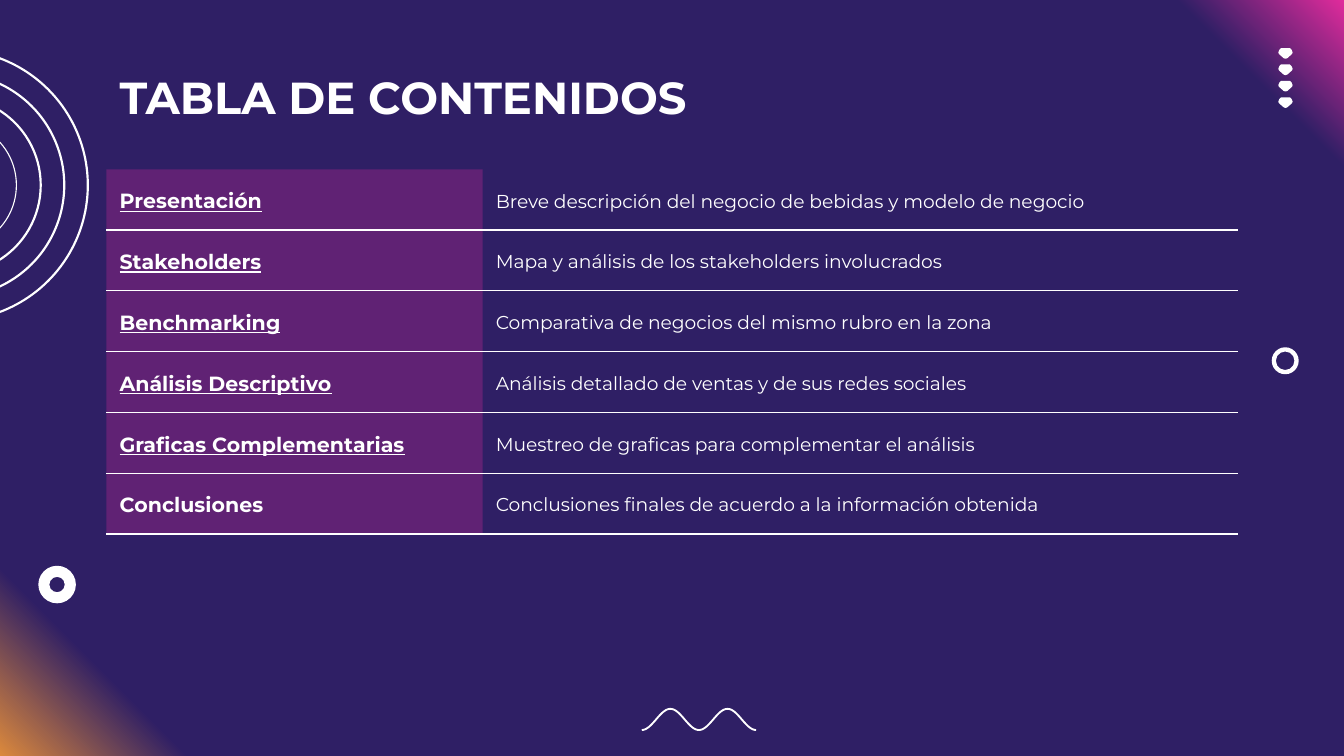
from copy import deepcopy
from dataclasses import dataclass
from math import cos, pi

from lxml import etree
from pptx import Presentation
from pptx import util as u
from pptx.dml.color import RGBColor
from pptx.enum import shapes, text
from pptx.oxml import ns


@dataclass(frozen=True)
class Theme:
    font: str = "Montserrat"
    white: RGBColor = RGBColor(0xFF, 0xFF, 0xFF)
    pink: RGBColor = RGBColor(0xE1, 0x2B, 0x9C)
    purple: RGBColor = RGBColor(0x2F, 0x1F, 0x65)
    orange: RGBColor = RGBColor(0xDC, 0x89, 0x3C)
    title_size: int = 24
    topic_size: int = 11
    detail_size: int = 10
    rule_width: float = 0.75
    wave_width: float = 1
    topic_opacity: int = 28


THEME = Theme()
PLAIN_TABLE_STYLE = "{2D5ABB26-0587-4C30-8999-92F81FD0307C}"

CONTENTS = [
    ("Presentación", "Breve descripción del negocio de bebidas y modelo de negocio", True),
    ("Stakeholders", "Mapa y análisis de los stakeholders involucrados", True),
    ("Benchmarking", "Comparativa de negocios del mismo rubro en la zona", True),
    ("Análisis Descriptivo", "Análisis detallado de ventas y de sus redes sociales", True),
    ("Graficas Complementarias", "Muestreo de graficas para complementar el análisis", True),
    ("Conclusiones", "Conclusiones finales de acuerdo a la información obtenida", False),
]


def paint_background(page):
    fill = page.background.fill
    fill.gradient()
    fill.gradient_angle = 225
    stop_list = page.element.find(".//" + ns.qn("a:gsLst"))
    for _ in range(2):
        stop_list.append(deepcopy(stop_list[0]))
    colours = [THEME.pink, THEME.purple, THEME.purple, THEME.orange]
    for stop, colour, position in zip(fill.gradient_stops, colours, (0, 0.08, 0.91, 1)):
        stop.color.rgb = colour
        stop.position = position


def fill_white(shape):
    shape.shadow.inherit = False
    shape.fill.solid()
    shape.fill.fore_color.rgb = THEME.white
    shape.line.fill.background()


def add_ring(page, centre_x, centre_y, diameter, thickness):
    ring = page.shapes.add_shape(
        shapes.MSO_SHAPE.DONUT,
        u.Cm(centre_x - diameter / 2), u.Cm(centre_y - diameter / 2),
        u.Cm(diameter), u.Cm(diameter))
    ring.adjustments[0] = thickness / diameter
    fill_white(ring)


def add_outline(page, points, close):
    start, *rest = [(u.Cm(x), u.Cm(y)) for x, y in points]
    builder = page.shapes.build_freeform(*start)
    builder.add_line_segments(rest, close=close)
    return builder.convert_to_shape()


def add_marker(page, left, top):
    width = 0.27
    half = [(0.02, 0.03), (0, 0.08), (0.01, 0.11), (0.1, 0.19), (0.13, 0.2)]
    half.insert(0, (0.05, 0))
    mirrored = [(width - x, y) for x, y in reversed(half)]
    points = [(left + x, top + y) for x, y in half + mirrored]
    fill_white(add_outline(page, points, close=True))


def add_wave(page, left, middle, width, height, periods=2, steps=80):
    points = [
        (left + width * i / steps,
         middle + height / 2 * cos(2 * pi * periods * i / steps))
        for i in range(steps + 1)]
    wave = add_outline(page, points, close=False)
    wave.shadow.inherit = False
    wave.fill.background()
    wave.line.color.rgb = THEME.white
    wave.line.width = u.Pt(THEME.wave_width)


def add_span(para, words, size, bold=False, underline=False):
    span = para.add_run()
    span.text = words
    span.font.name = THEME.font
    span.font.size = u.Pt(size)
    span.font.bold = bold
    span.font.underline = underline
    span.font.color.rgb = THEME.white


def add_title(page, words):
    box = page.shapes.add_textbox(u.Cm(2.01), u.Cm(1.07), u.Cm(21.41), u.Cm(1.42))
    frame = box.text_frame
    frame.word_wrap = True
    frame.margin_left = frame.margin_right = u.Cm(0.25)
    frame.margin_top = frame.margin_bottom = u.Cm(0.25)
    add_span(frame.paragraphs[0], words, THEME.title_size, bold=True)


def add_bottom_rule(cell):
    rule = etree.Element(ns.qn("a:lnB"), w=str(u.Pt(THEME.rule_width)))
    fill = etree.SubElement(rule, ns.qn("a:solidFill"))
    etree.SubElement(fill, ns.qn("a:srgbClr"), val=str(THEME.white))
    cell._tc.get_or_add_tcPr().insert(0, rule)


def tint_topic(cell):
    cell.fill.solid()
    cell.fill.fore_color.rgb = THEME.pink
    colour = cell._tc.tcPr.find(".//" + ns.qn("a:srgbClr"))
    etree.SubElement(colour, ns.qn("a:alpha"), val=str(THEME.topic_opacity * 1000))


def write_cell(cell, words, size, **style):
    cell.vertical_anchor = text.MSO_ANCHOR.MIDDLE
    cell.margin_left = cell.margin_right = u.Cm(0.25)
    cell.margin_top = cell.margin_bottom = 0
    para = cell.text_frame.paragraphs[0]
    para.line_spacing = 1.15
    add_span(para, words, size, **style)
    add_bottom_rule(cell)


def add_contents_table(page):
    row_height = u.Cm(1.15)
    frame = page.shapes.add_table(
        len(CONTENTS), 2, u.Cm(2.01), u.Cm(3.2), u.Cm(21.39), row_height * len(CONTENTS))
    table = frame.table
    table.first_row = table.horz_banding = False
    frame.element.find(".//" + ns.qn("a:tableStyleId")).text = PLAIN_TABLE_STYLE
    for column, width in zip(table.columns, (7.11, 14.28)):
        column.width = u.Cm(width)
    for row, (topic, detail, linked) in zip(table.rows, CONTENTS):
        row.height = row_height
        topic_cell, detail_cell = row.cells
        tint_topic(topic_cell)
        detail_cell.fill.background()
        write_cell(topic_cell, topic, THEME.topic_size, bold=True, underline=linked)
        write_cell(detail_cell, detail, THEME.detail_size)


def main():
    deck = Presentation()
    deck.slide_width, deck.slide_height = u.Cm(25.4), u.Cm(14.29)
    page = deck.slides.add_slide(deck.slide_layouts[6])
    paint_background(page)
    add_ring(page, 1.08, 11.05, 0.71, 0.21)
    for i in range(4):
        add_marker(page, 24.16, 0.91 + 0.31 * i)
    add_ring(page, 24.29, 6.82, 0.51, 0.08)
    for diameter, thickness in ((5.16, 0.04), (4.27, 0.04), (3.38, 0.04), (2.44, 0.02)):
        add_ring(page, -0.9, 3.5, diameter, thickness)
    add_title(page, "TABLA DE CONTENIDOS")
    add_contents_table(page)
    add_wave(page, 12.13, 13.6, 2.16, 0.4)
    deck.save("out.pptx")


if __name__ == "__main__":
    main()
